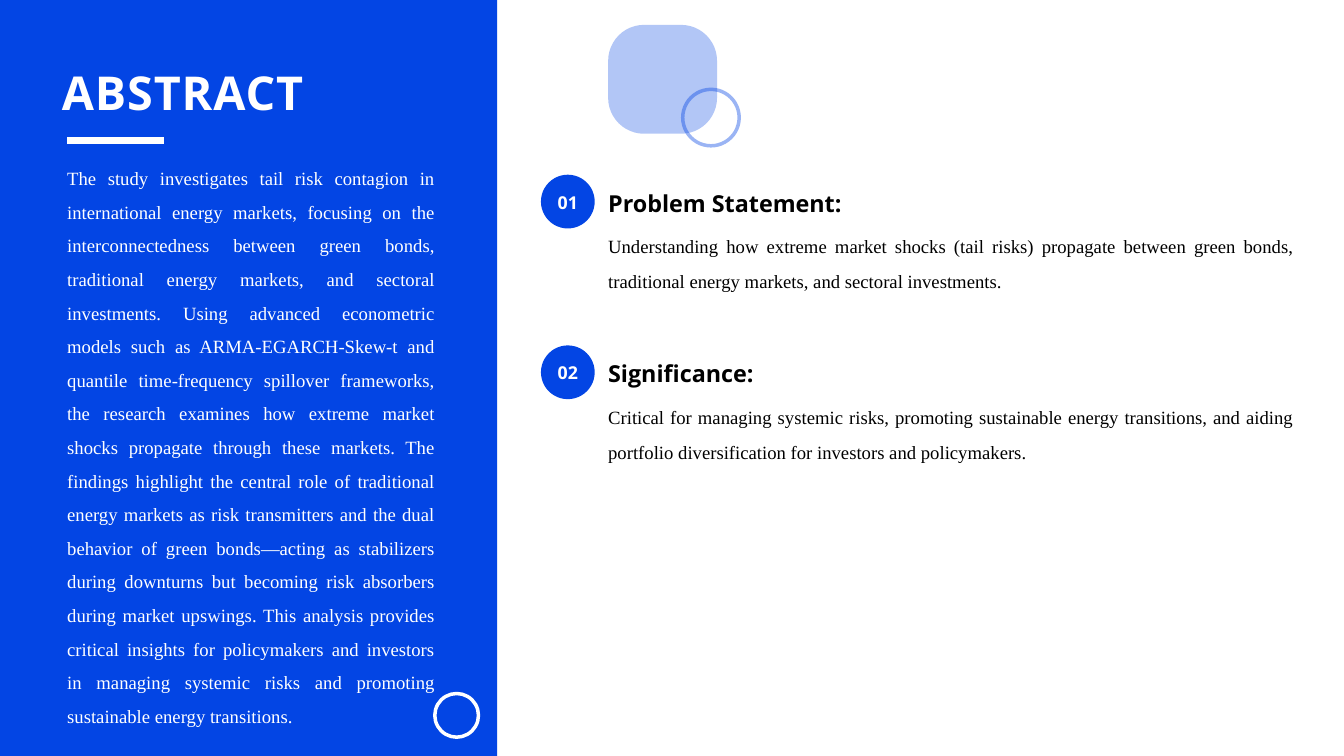
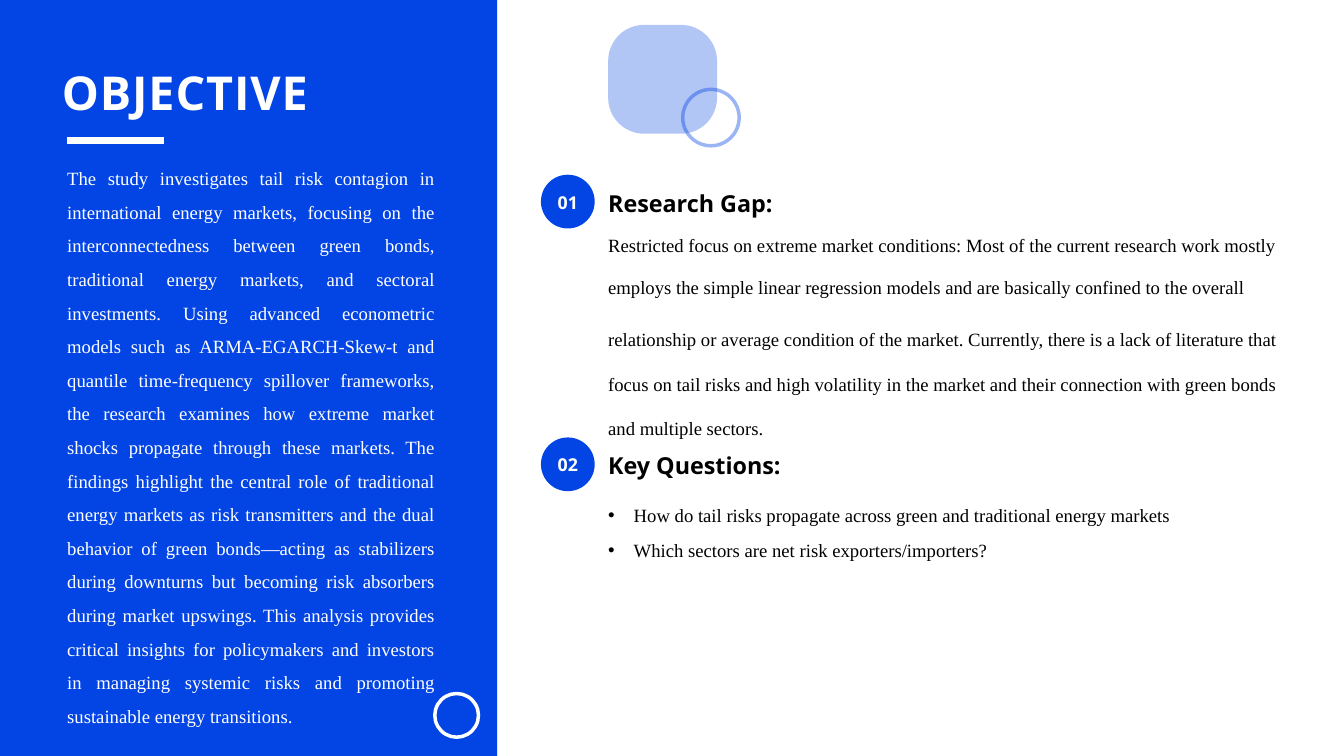
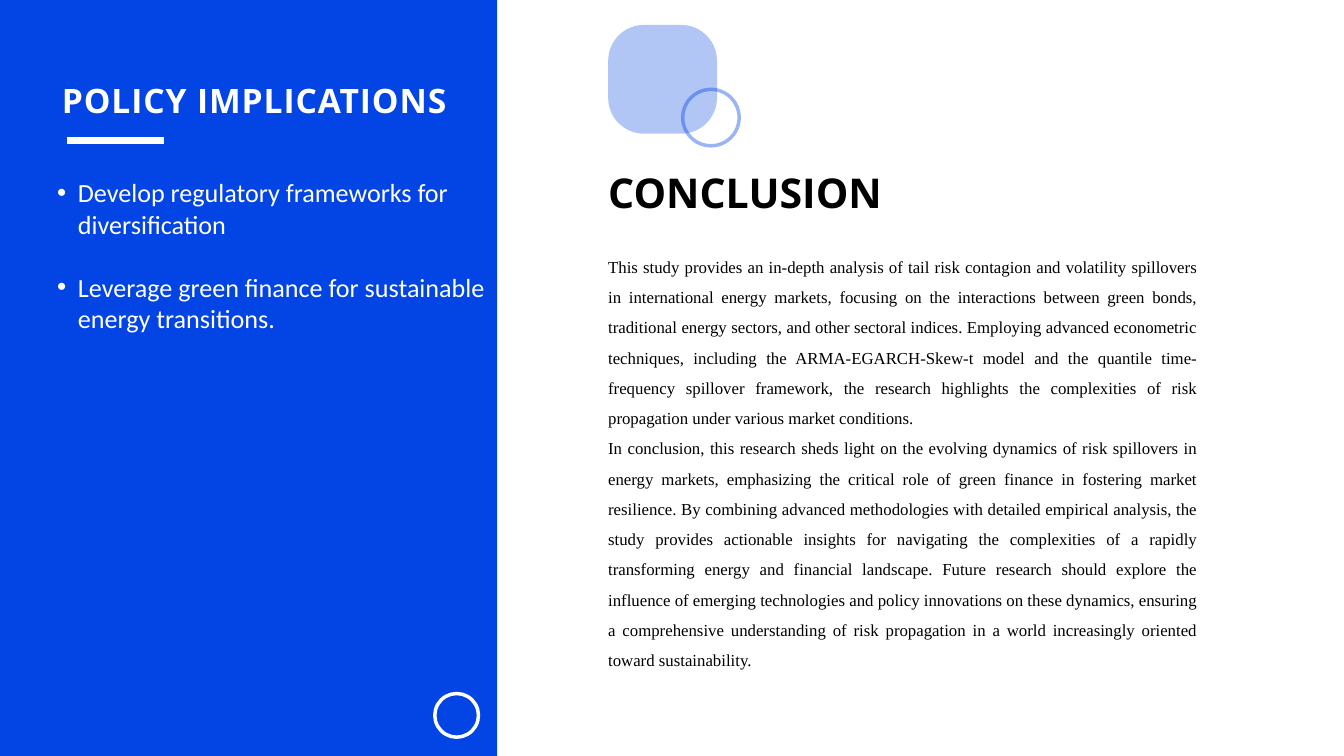
from lxml.etree import SubElement
from pptx import Presentation
from pptx.dml.color import RGBColor
from pptx.enum.shapes import MSO_CONNECTOR as Connector, MSO_SHAPE as Preset
from pptx.enum.text import MSO_ANCHOR as Anchor, MSO_AUTO_SIZE as AutoSize, PP_ALIGN as Align
from pptx.oxml.ns import qn
from pptx.util import Inches, Pt

COLORS = {"blue": "0345E4", "white": "FFFFFF", "black": "000000"}
HEADING_FONT, BODY_FONT, LIST_FONT = "Open Sans", "Times New Roman", "Calibri"
CONTENT_LEFT = 9.05

STUDY_SUMMARY = (
    "The study investigates tail risk contagion in international energy markets, focusing on the "
    "interconnectedness between green bonds, traditional energy markets, and sectoral investments. "
    "Using advanced econometric models such as ARMA-EGARCH-Skew-t and quantile time-frequency "
    "spillover frameworks, the research examines how extreme market shocks propagate through these "
    "markets. The findings highlight the central role of traditional energy markets as risk "
    "transmitters and the dual behavior of green bonds—acting as stabilizers during downturns but "
    "becoming risk absorbers during market upswings. This analysis provides critical insights for "
    "policymakers and investors in managing systemic risks and promoting sustainable energy "
    "transitions."
)
PROBLEM = (
    "Understanding how extreme market shocks (tail risks) propagate between green bonds, "
    "traditional energy markets, and sectoral investments."
)
SIGNIFICANCE = (
    "Critical for managing systemic risks, promoting sustainable energy transitions, and aiding "
    "portfolio diversification for investors and policymakers."
)
RESEARCH_GAP = [
    "Restricted focus on extreme market conditions: Most of the current research work mostly",
    "employs the simple linear regression models and are basically confined to the overall",
    "relationship or average condition of the market. Currently, there is a lack of literature "
    "that focus on tail risks and high volatility in the market and their connection with green "
    "bonds and multiple sectors.",
]
KEY_QUESTIONS = [
    "How do tail risks propagate across green and traditional energy markets",
    "Which sectors are net risk exporters/importers?",
]
POLICIES = [
    "Develop regulatory frameworks for diversification",
    "Leverage green finance for sustainable energy transitions.",
]
CONCLUSION = [
    "This study provides an in-depth analysis of tail risk contagion and volatility spillovers in "
    "international energy markets, focusing on the interactions between green bonds, traditional "
    "energy sectors, and other sectoral indices. Employing advanced econometric techniques, "
    "including the ARMA-EGARCH-Skew-t model and the quantile time-frequency spillover framework, "
    "the research highlights the complexities of risk propagation under various market conditions.",
    "In conclusion, this research sheds light on the evolving dynamics of risk spillovers in "
    "energy markets, emphasizing the critical role of green finance in fostering market "
    "resilience. By combining advanced methodologies with detailed empirical analysis, the study "
    "provides actionable insights for navigating the complexities of a rapidly transforming energy "
    "and financial landscape. Future research should explore the influence of emerging "
    "technologies and policy innovations on these dynamics, ensuring a comprehensive understanding "
    "of risk propagation in a world increasingly oriented toward sustainability.",
]


class SlideBuilder:
    def __init__(self):
        self.deck = Presentation()
        self.deck.slide_width, self.deck.slide_height = Inches(20), Inches(11.25)
        self.page = None

    def color(self, name):
        return RGBColor.from_string(COLORS[name])

    def set_alpha(self, shape, percent):
        for color in shape.element.spPr.iter(qn("a:srgbClr")):
            SubElement(color, qn("a:alpha")).set("val", str(percent * 1000))

    def shape(self, preset, left, top, width, height, fill=None, line=None):
        shape = self.page.shapes.add_shape(
            preset, Inches(left), Inches(top), Inches(width), Inches(height))
        shape.shadow.inherit = False
        if fill:
            shape.fill.solid()
            shape.fill.fore_color.rgb = self.color(fill)
        else:
            shape.fill.background()
        if line:
            shape.line.color.rgb = self.color(line)
            shape.line.width = Pt(3.75)
        else:
            shape.line.fill.background()
        return shape

    def fill_text(self, shape, texts, size, color, font=BODY_FONT, bold=False,
                  align=Align.LEFT, spacing=None, after=None, indent=None, tracking=None):
        frame = shape.text_frame
        frame.word_wrap = True
        frame.auto_size = AutoSize.NONE
        frame.margin_left = frame.margin_right = frame.margin_top = frame.margin_bottom = 0
        frame.text = "\n".join(texts)
        for para in frame.paragraphs:
            para.alignment = align
            para.line_spacing = spacing
            para.space_after = after
            if indent:
                self.bullet(para, indent)
            for span in para.runs:
                span.font.name = font
                span.font.size = Pt(size)
                span.font.bold = bold
                span.font.color.rgb = self.color(color)
                if tracking:
                    span._r.get_or_add_rPr().set("spc", str(tracking))
        return frame

    def bullet(self, para, indent):
        properties = para._p.get_or_add_pPr()
        properties.set("marL", str(Inches(indent)))
        properties.set("indent", str(-Inches(indent)))
        SubElement(properties, qn("a:buFont")).set("typeface", "Arial")
        SubElement(properties, qn("a:buChar")).set("char", "•")

    def text(self, left, top, width, height, texts, size, color="black", **style):
        box = self.page.shapes.add_textbox(
            Inches(left), Inches(top), Inches(width), Inches(height))
        return self.fill_text(box, texts, size, color, **style)

    def title(self, text, size, width):
        title = self.page.shapes.title
        title.left, title.top = Inches(0.92), Inches(0.81)
        title.width, title.height = Inches(width), Inches(0.95)
        frame = self.fill_text(title, [text], size, "white", font=HEADING_FONT, bold=True,
                               spacing=Pt(70), tracking=100)
        frame.vertical_anchor = Anchor.TOP
        return title

    def rule(self):
        rule = self.page.shapes.add_connector(
            Connector.STRAIGHT, Inches(1), Inches(2.09), Inches(2.44), Inches(2.09))
        rule.line.color.rgb = self.color("white")
        rule.line.width = Pt(7.5)
        SubElement(rule.element.spPr, qn("a:effectLst"))

    def start(self, title, size=50, width=5):
        self.page = self.deck.slides.add_slide(self.deck.slide_layouts[5])
        panel = self.shape(Preset.RECTANGLE, 0, 0, 7.4, 11.25, fill="blue")
        panel.element.addnext(self.title(title, size, width).element)
        self.rule()
        square = self.shape(Preset.ROUNDED_RECTANGLE, CONTENT_LEFT, 0.37, 1.62, 1.62, fill="blue")
        square.adjustments[0] = 0.33
        self.set_alpha(square, 30)
        ring = self.shape(Preset.OVAL, 10.16, 1.33, 0.84, 0.84, line="blue")
        self.set_alpha(ring, 40)

    def corner_ring(self):
        self.shape(Preset.OVAL, 6.47, 10.32, 0.65, 0.65, line="white")

    def summary(self):
        self.text(1, 2.32, 5.47, 9.05, [STUDY_SUMMARY], 20, "white",
                  align=Align.JUSTIFY, spacing=1.5)

    def heading(self, top, text, size=25):
        self.text(CONTENT_LEFT, top, 6.02, 0.47, [text], size, font=HEADING_FONT,
                  bold=True, spacing=Pt(35))

    def topic(self, number, top, heading):
        badge = self.shape(Preset.OVAL, 8.05, top, 0.8, 0.8, fill="blue")
        frame = self.fill_text(badge, [f"{number:02}"], 19, "white", font=HEADING_FONT, bold=True,
                               align=Align.CENTER, spacing=Pt(26.6))
        frame.margin_bottom = Inches(0.04)
        frame.vertical_anchor = Anchor.MIDDLE
        self.heading(top + 0.14, heading)

    def body(self, top, height, texts, **style):
        settings = {"align": Align.JUSTIFY, "spacing": Pt(37.2), **style}
        return self.text(CONTENT_LEFT, top, 10.2, height, texts, 20, **settings)


def abstract_slide(builder):
    builder.start("ABSTRACT")
    builder.summary()
    builder.topic(1, 2.6, "Problem Statement:")
    builder.body(3.31, 1.51, [PROBLEM])
    builder.topic(2, 5.14, "Significance:")
    builder.body(5.86, 0.97, [SIGNIFICANCE])
    builder.corner_ring()


def objective_slide(builder):
    builder.start("OBJECTIVE")
    builder.summary()
    builder.topic(1, 2.6, "Research Gap:")
    gap = builder.body(3.32, 4.36, RESEARCH_GAP, align=Align.LEFT, spacing=1.5, after=Pt(8))
    gap.paragraphs[-1].line_spacing = 2.0
    builder.topic(2, 6.51, "Key Questions:")
    builder.body(7.32, 2.03, KEY_QUESTIONS, indent=0.38)
    builder.corner_ring()


def conclusion_slide(builder):
    builder.start("POLICY IMPLICATIONS", size=36, width=6.21)
    builder.heading(2.74, "CONCLUSION", size=44)
    builder.corner_ring()
    builder.text(0.85, 2.63, 6.88, 2.66, POLICIES, 28, "white", font=LIST_FONT,
                 after=Pt(34), indent=0.31)
    builder.text(CONTENT_LEFT, 3.67, 8.77, 6.83, CONCLUSION, 18,
                 align=Align.JUSTIFY, spacing=1.5)


def main():
    builder = SlideBuilder()
    for build_slide in (abstract_slide, objective_slide, conclusion_slide):
        build_slide(builder)
    builder.deck.save("out.pptx")


if __name__ == "__main__":
    main()
